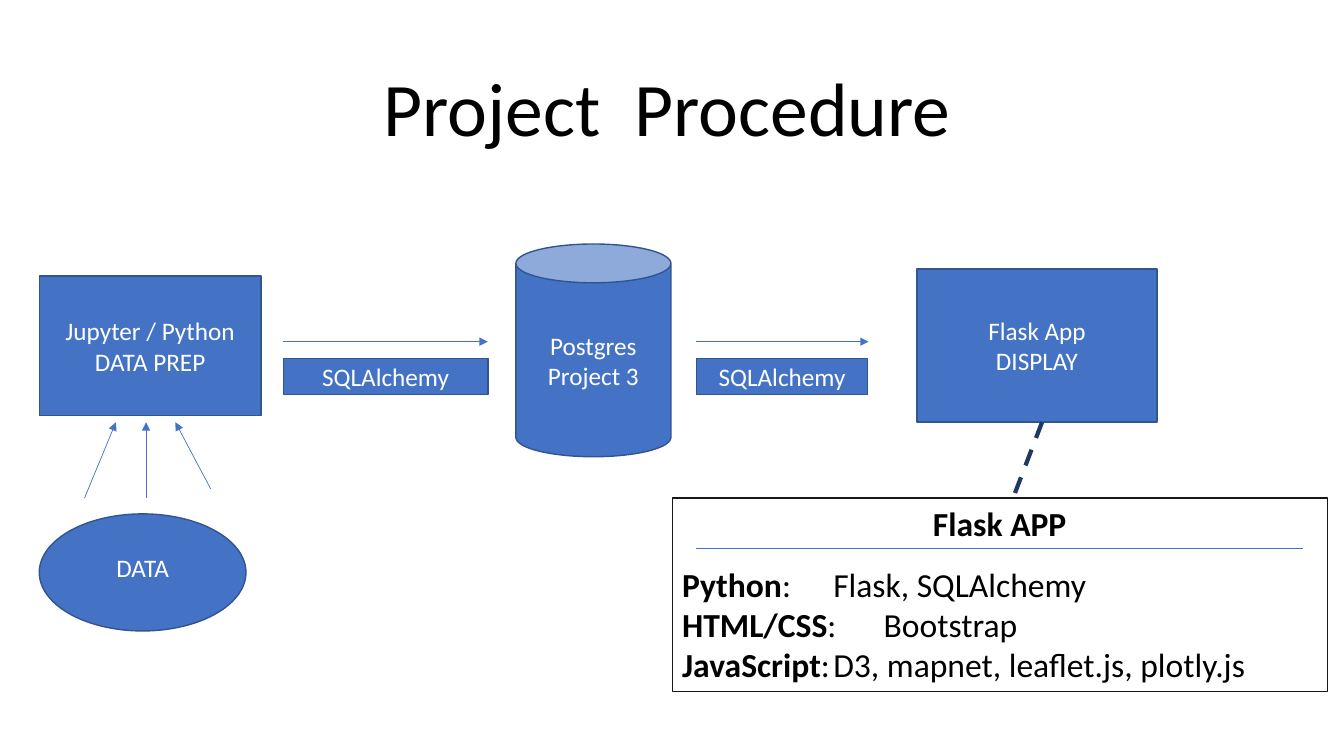
import pptx
import pptx.util
import pptx.dml.color
import pptx.enum.dml
import pptx.enum.shapes
import pptx.enum.text
import pptx.oxml

Cm = pptx.util.Cm
Pt = pptx.util.Pt
Kind = pptx.enum.shapes.MSO_SHAPE
Align = pptx.enum.text.PP_ALIGN
Mid = pptx.enum.text.MSO_ANCHOR.MIDDLE
Top = pptx.enum.text.MSO_ANCHOR.TOP
Dash = pptx.enum.dml.MSO_LINE.DASH
NS = 'xmlns:a="http://schemas.openxmlformats.org/drawingml/2006/main"'


def tint(part, code):
    part.rgb = pptx.dml.color.RGBColor.from_string(code)


def write(para, text, size, code, bold=False):
    run = para.add_run()
    run.text = text
    look = {"name": "Calibri", "size": Pt(size), "bold": bold}
    for key, value in look.items():
        setattr(run.font, key, value)
    tint(run.font.color, code)


deck = pptx.Presentation()
deck.slide_width = Cm(33.87)
deck.slide_height = Cm(19.05)
slide = deck.slides.add_slide(deck.slide_layouts[6])
shapes = slide.shapes

title = shapes.add_textbox(Cm(9.42), Cm(1.4), Cm(15.32), Cm(2.57))
title.text_frame.word_wrap = True
write(title.text_frame.paragraphs[0], "Project  Procedure", 54, "000000")

nodes = [
    (Kind.RECTANGLE, 0.99, 6.96, 5.59, 3.51, ["Jupyter / Python", "DATA PREP"]),
    (Kind.RECTANGLE, 7.14, 9.04, 5.16, 0.91, ["SQLAlchemy"]),
    (Kind.CAN, 13, 6.15, 3.91, 5.36, ["Postgres", "Project 3"]),
    (Kind.RECTANGLE, 17.55, 9.04, 4.32, 0.91, ["SQLAlchemy"]),
    (Kind.RECTANGLE, 23.11, 6.78, 6.05, 3.86, ["Flask App", "DISPLAY"]),
    (Kind.OVAL, 0.99, 12.95, 5.21, 2.95, ["DATA"]),
]
for kind, left, top, width, height, lines in nodes:
    node = shapes.add_shape(kind, Cm(left), Cm(top), Cm(width), Cm(height))
    node.shadow.inherit = False
    node.fill.solid()
    tint(node.fill.fore_color, "4472C4")
    tint(node.line.color, "325491")
    node.line.width = Pt(1)
    frame = node.text_frame
    look = {"word_wrap": True, "vertical_anchor": Mid}
    if kind == Kind.OVAL:
        look["margin_bottom"] = Cm(0.38)
    for key, value in look.items():
        setattr(frame, key, value)
    for rank, text in enumerate(lines):
        para = frame.add_paragraph() if rank else frame.paragraphs[0]
        para.alignment = Align.CENTER
        write(para, text, 18, "FFFFFF")

panel = shapes.add_shape(Kind.RECTANGLE, Cm(16.94), Cm(12.55), Cm(16.51), Cm(4.88))
panel.shadow.inherit = False
panel.fill.background()
tint(panel.line.color, "181717")
panel.line.width = Pt(0.75)
frame = panel.text_frame
frame.word_wrap = True
frame.vertical_anchor = Top
head = frame.paragraphs[0]
head.alignment = Align.CENTER
head.space_after = Pt(14.5)
write(head, "Flask APP", 24, "000000", True)
stack = [
    ("Python", ":\tFlask, SQLAlchemy"),
    ("HTML/CSS", ": \tBootstrap"),
    ("JavaScript", ":\tD3, mapnet, leaflet.js, plotly.js"),
]
for label, tools in stack:
    para = frame.add_paragraph()
    para.alignment = Align.LEFT
    write(para, label, 24, "000000", True)
    write(para, tools, 24, "000000")

links = [
    (7.14, 8.61, 12.29, 8.61, "arrow"),
    (17.55, 8.61, 21.89, 8.61, "arrow"),
    (2.13, 12.55, 2.92, 10.64, "arrow"),
    (3.68, 12.55, 3.68, 10.64, "arrow"),
    (5.31, 12.32, 4.42, 10.64, "arrow"),
    (26.26, 10.64, 25.53, 12.55, "dash"),
    (17.55, 13.82, 32.84, 13.82, "rule"),
]
straight = pptx.enum.shapes.MSO_CONNECTOR.STRAIGHT
for x1, y1, x2, y2, role in links:
    link = shapes.add_connector(straight, Cm(x1), Cm(y1), Cm(x2), Cm(y2))
    tint(link.line.color, "203864" if role == "dash" else "4472C4")
    link.line.width = Pt(3 if role == "dash" else 0.5)
    if role == "dash":
        link.line.dash_style = Dash
    if role == "arrow":
        tip = pptx.oxml.parse_xml(f'<a:tailEnd {NS} type="triangle"/>')
        link.line._get_or_add_ln().append(tip)
    link._element.spPr.append(pptx.oxml.parse_xml(f"<a:effectLst {NS}/>"))

deck.save("out.pptx")
